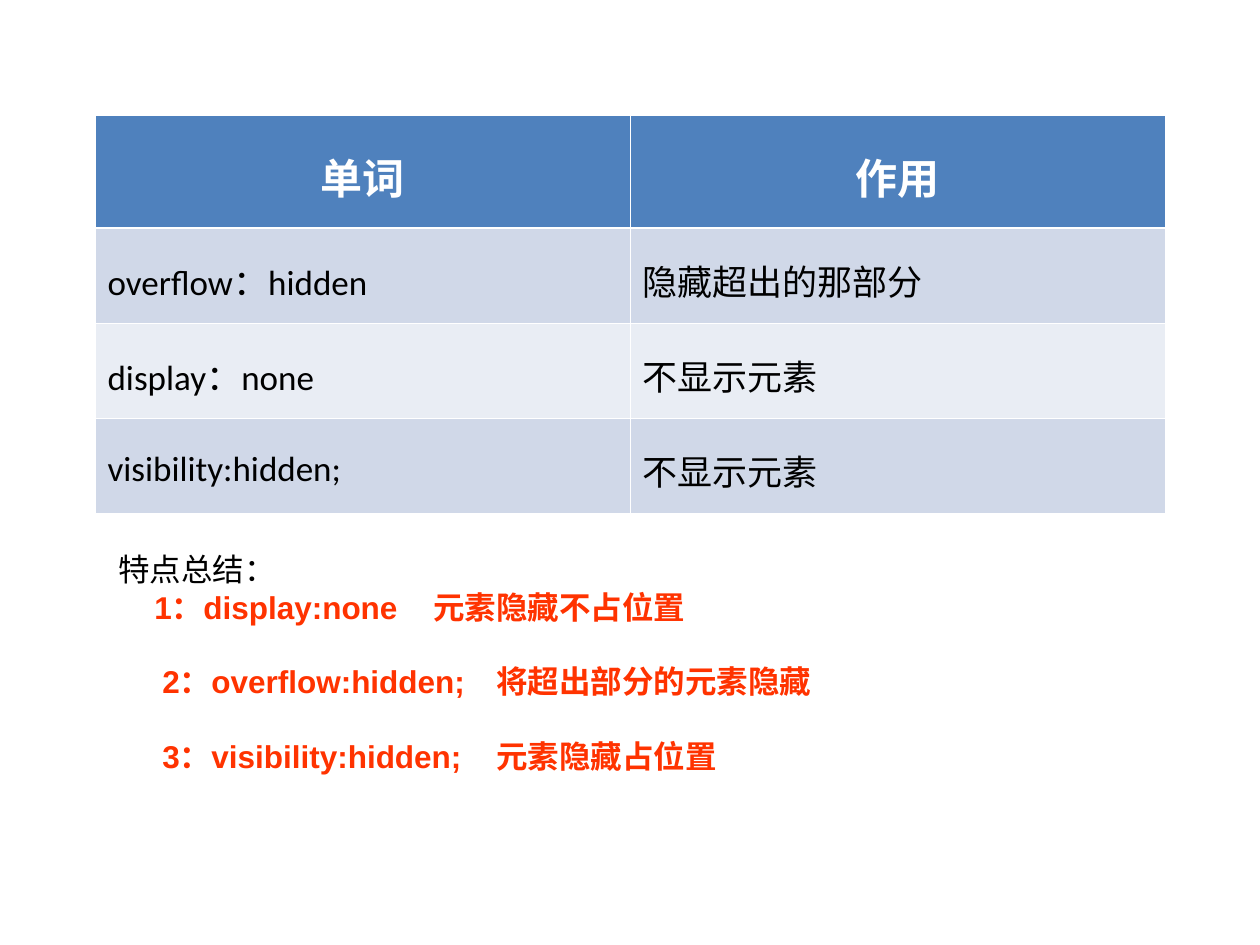
from lxml import etree
from pptx import Presentation, util as u
from pptx.dml.color import RGBColor
from pptx.enum import text
from pptx.oxml import ns

PX = 914400 / 126
COLORS = {"header": "4F81BD", "odd": "D0D8E8", "even": "E9EDF4",
          "white": "FFFFFF", "black": "000000", "accent": "FF3300"}


def px(length):
    return u.Emu(round(length * PX))


def style(paragraph, font_name, size, color, bold=False):
    font = paragraph.font
    font.name, font.size, font.bold = font_name, u.Pt(size), bold
    font.color.rgb = RGBColor.from_string(COLORS[color])


prs = Presentation()
prs.slide_width, prs.slide_height = px(1260), px(945)
slide = prs.slides.add_slide(prs.slide_layouts[6])

# Table of properties
rows = [("单词", "作用"),
        ("overflow：hidden", "隐藏超出的那部分"),
        ("display：none", "不显示元素"),
        ("visibility:hidden;", "不显示元素")]
heights = [113, 95, 95, 95]
properties = slide.shapes.add_table(4, 2, px(95), px(115), px(1070), px(sum(heights))).table
for column in properties.columns:
    column.width = px(535)

for r, (words, height) in enumerate(zip(rows, heights)):
    properties.rows[r].height = px(height)
    header = r == 0
    fill = "header" if header else "odd" if r % 2 else "even"
    for c, word in enumerate(words):
        cell = properties.cell(r, c)
        cell.text = word
        cell.vertical_anchor = text.MSO_ANCHOR.MIDDLE
        cell.margin_top = px(16 if header else 15)
        cell.fill.solid()
        cell.fill.fore_color.rgb = RGBColor.from_string(COLORS[fill])
        paragraph = cell.text_frame.paragraphs[0]
        if header:
            paragraph.alignment = text.PP_ALIGN.CENTER
            style(paragraph, "Calibri", 24, "white", True)
        else:
            style(paragraph, "Calibri", 20, "black")

        heavy_side = {0: "B", 1: "T"}.get(r)
        properties_xml = cell._tc.get_or_add_tcPr()
        for i, side in enumerate("LRTB"):
            width = u.Pt(1.47 if side == heavy_side else 0.45)
            border = etree.Element(ns.qn(f"a:ln{side}"), w=str(width))
            solid = etree.SubElement(border, ns.qn("a:solidFill"))
            etree.SubElement(solid, ns.qn("a:srgbClr"), val=COLORS["white"])
            properties_xml.insert(i, border)

# Summary: first-line indent, tab stop and space before for each line
summary = slide.shapes.add_textbox(px(106), px(544), px(1050), px(239)).text_frame
summary.word_wrap = True
summary.text = "特点总结："
style(summary.paragraphs[0], "Arial", 18, "black")

points = [("1：display:none\t元素隐藏不占位置", 36, 371, 0),
          ("2：overflow:hidden;\t将超出部分的元素隐藏", 44, 387, 21),
          ("3：visibility:hidden;\t元素隐藏占位置", 44, 401, 21)]
for words, indent, stop, gap in points:
    paragraph = summary.add_paragraph()
    paragraph.text = words
    paragraph.space_before = u.Pt(gap)
    paragraph_xml = paragraph._p.get_or_add_pPr()
    paragraph_xml.set("marL", "0")
    paragraph_xml.set("indent", str(px(indent)))
    tabs = etree.SubElement(paragraph_xml, ns.qn("a:tabLst"))
    etree.SubElement(tabs, ns.qn("a:tab"), pos=str(px(stop)), algn="l")
    style(paragraph, "Arial", 18, "accent", True)

prs.save("out.pptx")
